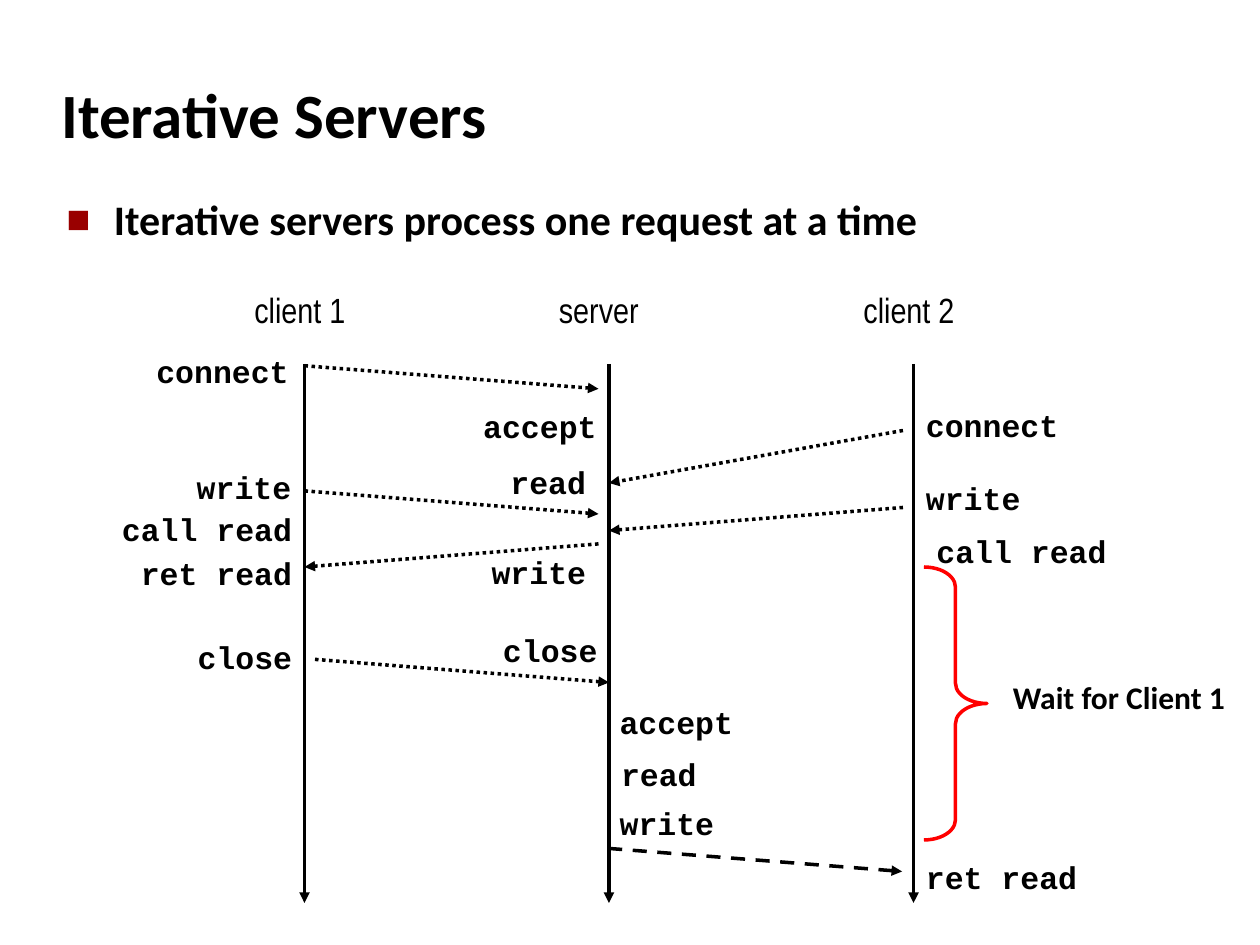
from dataclasses import dataclass

from lxml import etree
from pptx import Presentation
from pptx.dml.color import RGBColor
from pptx.enum.dml import MSO_LINE
from pptx.enum.shapes import MSO_CONNECTOR, MSO_SHAPE
from pptx.enum.text import MSO_ANCHOR, MSO_AUTO_SIZE, PP_ALIGN
from pptx.oxml import parse_xml
from pptx.oxml.ns import nsdecls, qn
from pptx.util import Pt

LEFT, RIGHT = PP_ALIGN.LEFT, PP_ALIGN.RIGHT
TOP, MIDDLE = MSO_ANCHOR.TOP, MSO_ANCHOR.MIDDLE
DOTTED, DASHED = MSO_LINE.ROUND_DOT, MSO_LINE.DASH
STRAIGHT = MSO_CONNECTOR.STRAIGHT
RIGHT_BRACE = MSO_SHAPE.RIGHT_BRACE
FIT_TEXT = MSO_AUTO_SIZE.SHAPE_TO_FIT_TEXT
COLORS = {"text": "000000", "bullet": "990000", "wait": "FF0000"}

CLIENT_1, SERVER, CLIENT_2 = 174, 348, 522
LIFELINE_TOP, LIFELINE_BOTTOM = 208, 516
CODE_CHAR, CODE_MARGINS = 10.8, 14.4


@dataclass
class Label:
    text: str
    left: float
    top: float
    width: float
    height: float
    size: float
    font: str
    bold: bool = True
    wrap: bool = False
    align: PP_ALIGN = LEFT
    anchor: MSO_ANCHOR = TOP


@dataclass
class Call:
    name: str
    edge: float
    top: float
    side: PP_ALIGN


@dataclass
class Arrow:
    start_x: float
    start_y: float
    end_x: float
    end_y: float
    dash: MSO_LINE | None = DOTTED


def add_label(slide, label: Label):
    box = slide.shapes.add_textbox(
        Pt(label.left), Pt(label.top), Pt(label.width), Pt(label.height))
    frame = box.text_frame
    frame.word_wrap = label.wrap
    if not label.wrap:
        frame.auto_size = FIT_TEXT
    frame.vertical_anchor = label.anchor
    paragraph = frame.paragraphs[0]
    paragraph.text = label.text
    paragraph.alignment = label.align
    font = paragraph.font
    font.name, font.size, font.bold = label.font, Pt(label.size), label.bold
    font.color.rgb = RGBColor.from_string(COLORS["text"])
    return paragraph


def add_call(slide, call: Call) -> None:
    width = len(call.name) * CODE_CHAR + CODE_MARGINS
    left = call.edge - width if call.side == RIGHT else call.edge
    add_label(slide, Label(call.name, left, call.top, width, 29, 18,
                           "Courier New", align=call.side))


def add_arrow(slide, arrow: Arrow) -> None:
    connector = slide.shapes.add_connector(
        STRAIGHT, Pt(arrow.start_x), Pt(arrow.start_y),
        Pt(arrow.end_x), Pt(arrow.end_y))
    line = connector.line
    line.width = Pt(2)
    line.color.rgb = RGBColor.from_string(COLORS["text"])
    if arrow.dash is not None:
        line.dash_style = arrow.dash
    properties = connector._element.spPr
    outline = properties.find(qn("a:ln"))
    etree.SubElement(outline, qn("a:tailEnd"), type="triangle")
    etree.SubElement(properties, qn("a:effectLst"))


def add_bullet(paragraph) -> None:
    properties = paragraph._p.get_or_add_pPr()
    properties.set("marL", str(Pt(27)))
    properties.set("indent", str(-Pt(27)))
    parts = (
        f'<a:spcBef {nsdecls("a")}><a:spcPct val="20000"/></a:spcBef>',
        f'<a:buClr {nsdecls("a")}><a:srgbClr val="{COLORS["bullet"]}"/></a:buClr>',
        f'<a:buSzPct {nsdecls("a")} val="60000"/>',
        f'<a:buFont {nsdecls("a")} typeface="Calibri"/>',
        f'<a:buChar {nsdecls("a")} char="■"/>',
    )
    for index, part in enumerate(parts):
        properties.insert(index, parse_xml(part))


def add_wait_brace(slide) -> None:
    brace = slide.shapes.add_shape(RIGHT_BRACE, Pt(528), Pt(324), Pt(36), Pt(156))
    brace.shadow.inherit = False
    brace.adjustments[0] = 0.32
    brace.adjustments[1] = 0.5
    brace.fill.background()
    brace.line.width = Pt(2)
    brace.line.color.rgb = RGBColor.from_string(COLORS["wait"])


TITLE = Label("Iterative Servers", 28, 34.5, 598, 60, 36, "Calibri",
              wrap=True, anchor=MIDDLE)
BODY = Label("Iterative servers process one request at a time",
             31, 107.3, 622, 392, 24, "Calibri", wrap=True)
WAIT = Label("Wait for Client 1", 571.7, 383.8, 137, 29, 18, "Calibri")
HEADINGS = [
    Label(text, lifeline - offset, 161.3, width, 31.5, 20, "Arial Narrow", bold=False)
    for text, lifeline, offset, width in (
        ("client 1", CLIENT_1, 35.7, 67),
        ("server", SERVER, 35.7, 60.5),
        ("client 2", CLIENT_2, 35.7, 67),
    )
]
CALLS = [
    Call("connect", 172, 197.5, RIGHT),
    Call("write", 173.5, 263.7, RIGHT),
    Call("call read", CLIENT_1, 288, RIGHT),
    Call("ret read", CLIENT_1, 313.3, RIGHT),
    Call("close", CLIENT_1, 361, RIGHT),
    Call("accept", 348, 229.2, RIGHT),
    Call("read", 342, 260.8, RIGHT),
    Call("write", 342, 312.7, RIGHT),
    Call("close", 348.5, 357, RIGHT),
    Call("accept", 347, 398.3, LEFT),
    Call("read", 347.8, 427.7, LEFT),
    Call("write", 347, 456, LEFT),
    Call("connect", CLIENT_2, 228.2, LEFT),
    Call("write", CLIENT_2, 270.2, LEFT),
    Call("call read", 528, 300.2, LEFT),
    Call("ret read", CLIENT_2, 487, LEFT),
]
LIFELINES = [
    Arrow(x, LIFELINE_TOP, x, LIFELINE_BOTTOM, None)
    for x in (CLIENT_1, SERVER, CLIENT_2)
]
MESSAGES = [
    Arrow(CLIENT_1, 209, 342, 222.2),
    Arrow(516, 246, SERVER, 276),
    Arrow(CLIENT_1, 280.5, 342, 293.7),
    Arrow(516, 290, SERVER, 303.2),
    Arrow(342, 310.8, CLIENT_1, 324),
    Arrow(180, 376.8, SERVER, 390),
    Arrow(347.5, 484.8, 515.5, 498, DASHED),
]


def main() -> None:
    presentation = Presentation()
    presentation.slide_width, presentation.slide_height = Pt(720), Pt(540)
    slide = presentation.slides.add_slide(presentation.slide_layouts[6])
    add_label(slide, TITLE)
    add_bullet(add_label(slide, BODY))
    for arrow in LIFELINES + MESSAGES:
        add_arrow(slide, arrow)
    add_wait_brace(slide)
    for label in HEADINGS + [WAIT]:
        add_label(slide, label)
    for call in CALLS:
        add_call(slide, call)
    presentation.save("out.pptx")


main()
